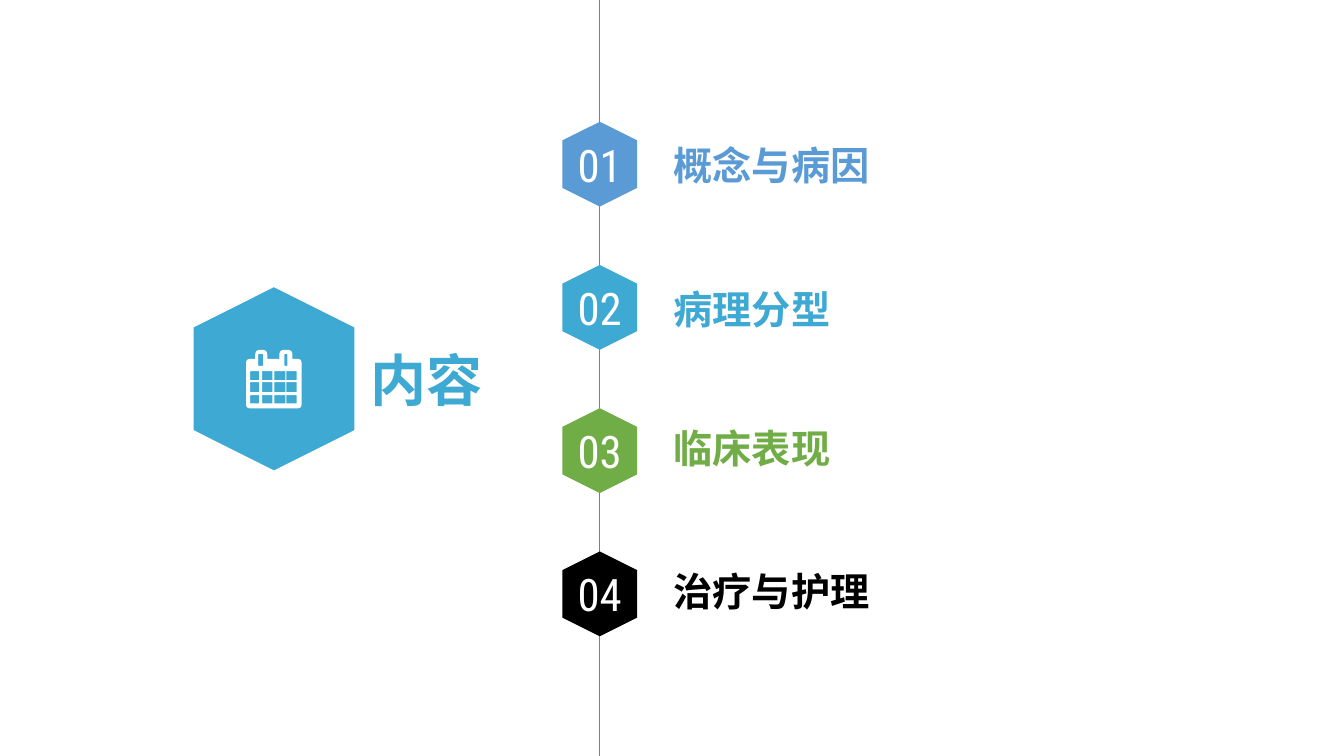
from dataclasses import dataclass

from lxml import etree
from pptx import Presentation
from pptx import util as u
from pptx.dml.color import RGBColor
from pptx.enum import shapes, text
from pptx.oxml.ns import qn


@dataclass(frozen=True)
class Theme:
    blue: str = "5B9BD5"
    cyan: str = "3EA9D3"
    green: str = "70AD47"
    black: str = "000000"
    white: str = "FFFFFF"
    grey: str = "7F7F7F"
    body_font: str = "Arial"
    number_font: str = "Roboto Condensed"
    title_size: int = 40
    number_size: int = 32
    label_size: int = 28
    line_width: float = 0.75


THEME = Theme()
COLUMNS, ROWS = 32, 18
HEXAGON_SHOULDER = 0.22
ICON_UNIT = 0.024
AXIS = 14.28
CENTER, LEFT = text.PP_ALIGN.CENTER, text.PP_ALIGN.LEFT
MIDDLE, BOTTOM = text.MSO_ANCHOR.MIDDLE, text.MSO_ANCHOR.BOTTOM
NO_INSETS = {f"margin_{side}": 0 for side in ("left", "top", "right", "bottom")}

ITEMS = [
    ("概念与病因", THEME.blue, 3.36, 1.13),
    ("病理分型", THEME.cyan, 7.27, 0.65),
    ("临床表现", THEME.green, 10.58, 0.65),
    ("治疗与护理", THEME.black, 13.97, 0.65),
]


def set_attributes(target, values):
    for name, value in values.items():
        setattr(target, name, value)


def rectangle(left, top, right, bottom):
    return [(left, top), (right, top), (right, bottom), (left, bottom)]


def hexagon(left, top, width, height):
    middle, right, bottom = left + width / 2, left + width, top + height
    shoulder = height * HEXAGON_SHOULDER
    return [(middle, top), (right, top + shoulder), (right, bottom - shoulder),
            (middle, bottom), (left, bottom - shoulder), (left, top + shoulder)]


def rounded(corners, steps=6):
    points = []
    for index, (x, y, radius) in enumerate(corners):
        ends = []
        for near_x, near_y, _ in (corners[index - 1], corners[(index + 1) % len(corners)]):
            share = radius / (abs(near_x - x) + abs(near_y - y))
            ends.append((x + (near_x - x) * share, y + (near_y - y) * share))
        (start_x, start_y), (end_x, end_y) = ends
        for step in range(steps + 1 if radius else 1):
            t = step / steps
            points.append(((1 - t) ** 2 * start_x + 2 * t * (1 - t) * x + t * t * end_x,
                           (1 - t) ** 2 * start_y + 2 * t * (1 - t) * y + t * t * end_y))
    return points


def calendar(left, top):
    outline = [(0, 9, 4)]
    for ring_left, ring_right in ((9, 21), (33, 46)):
        outline += [(ring_left, 9, 0), (ring_left, 0, 5), (ring_right, 0, 5), (ring_right, 9, 0)]
    outline += [(55, 9, 4), (55, 58, 4), (0, 58, 4)]
    contours = [rounded(outline)]
    contours += [rounded([(x, y, 1) for x, y in rectangle(start, 4, end, 16)])
                 for start, end in ((12, 17), (38, 41))]
    contours += [rectangle(start, upper, end, lower)
                 for start, end in ((4, 13), (16, 26), (28, 39), (40, 50))
                 for upper, lower in ((21, 30), (32, 42), (45, 53))]
    return [[(left + x * ICON_UNIT, top + y * ICON_UNIT) for x, y in contour]
            for contour in contours]


class SlideBuilder:
    """Draws styled elements on one slide, with lengths in grid columns and rows."""

    def __init__(self, presentation, theme):
        self.theme = theme
        self.slide = presentation.slides.add_slide(presentation.slide_layouts[5])
        self.column = presentation.slide_width / COLUMNS
        self.row = presentation.slide_height / ROWS

    def point(self, x, y):
        return round(x * self.column), round(y * self.row)

    def set_words(self, shape, words, frame, alignment, **font):
        shape.text_frame.text = words
        set_attributes(shape.text_frame, frame)
        paragraph = shape.text_frame.paragraphs[0]
        paragraph.alignment = alignment
        color, size = font.pop("color"), font.pop("size")
        set_attributes(paragraph.runs[0].font, {"size": u.Pt(size), **font})
        paragraph.runs[0].font.color.rgb = RGBColor.from_string(color)

    def outline(self, contours, color, parent=None):
        routes = [[self.point(x, y) for x, y in contour] for contour in contours]
        builder = (parent or self.slide).shapes.build_freeform(*routes[0][0])
        for index, points in enumerate(routes):
            if index:
                builder.move_to(*points[0])
            builder.add_line_segments(points[1:], close=True)
        shape = builder.convert_to_shape()
        shape.shadow.inherit = False
        shape.fill.solid()
        shape.fill.fore_color.rgb = RGBColor.from_string(color)
        shape.line.fill.background()
        return shape

    def emblem(self):
        group = self.slide.shapes.add_group_shape()
        self.outline([hexagon(4.61, 6.84, 3.83, 4.36)], self.theme.cyan, group)
        self.outline(calendar(5.86, 8.33), self.theme.white, group)

    def title(self, words, left, top, width, height):
        shape = self.slide.shapes.title
        place = dict(zip(("left", "top", "width", "height"),
                         self.point(left, top) + self.point(width, height)))
        set_attributes(shape, place)
        frame = {**NO_INSETS, "word_wrap": True, "vertical_anchor": MIDDLE,
                 "auto_size": text.MSO_AUTO_SIZE.NONE}
        self.set_words(shape, words, frame, CENTER, name=self.theme.body_font,
                       size=self.theme.title_size, color=self.theme.cyan, bold=True)

    def axis(self, x):
        line = self.slide.shapes.add_connector(
            shapes.MSO_CONNECTOR.STRAIGHT, *self.point(x, 0), *self.point(x, ROWS))
        line.line.color.rgb = RGBColor.from_string(self.theme.grey)
        line.line.width = u.Pt(self.theme.line_width)
        etree.SubElement(line._element.spPr, qn("a:effectLst"))

    def number(self, words, top, color):
        width, height = 1.78, 2.02
        shape = self.outline([hexagon(AXIS - width / 2, top, width, height)], color)
        self.set_words(shape, words, {"word_wrap": False, "vertical_anchor": MIDDLE}, CENTER,
                       name=self.theme.number_font, size=self.theme.number_size,
                       color=self.theme.white)

    def label(self, words, top, height, color):
        shape = self.slide.shapes.add_textbox(*self.point(16.04, top), *self.point(9.36, height))
        frame = {**NO_INSETS, "word_wrap": False, "vertical_anchor": BOTTOM}
        self.set_words(shape, words, frame, LEFT, name=self.theme.body_font,
                       size=self.theme.label_size, color=color, bold=True)


def main():
    presentation = Presentation()
    set_attributes(presentation, {"slide_width": u.Inches(13.33), "slide_height": u.Inches(7.5)})
    builder = SlideBuilder(presentation, THEME)
    builder.emblem()
    builder.title("内容", 8.45, 8.21, 3.41, 1.61)
    builder.axis(AXIS)
    for index, (words, color, top, height) in enumerate(ITEMS):
        builder.number(f"{index + 1:02d}", 2.9 + 3.41 * index, color)
        builder.label(words, top, height, color)
    presentation.save("out.pptx")


if __name__ == "__main__":
    main()
